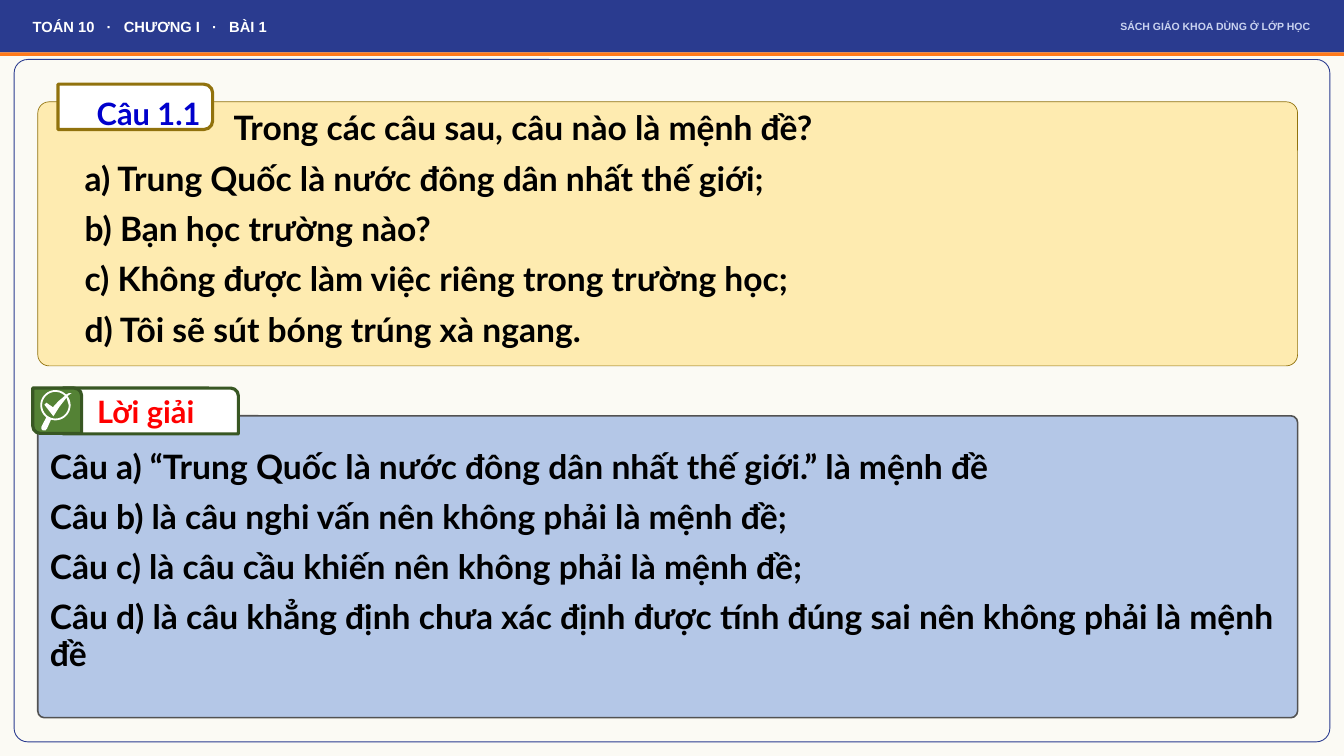
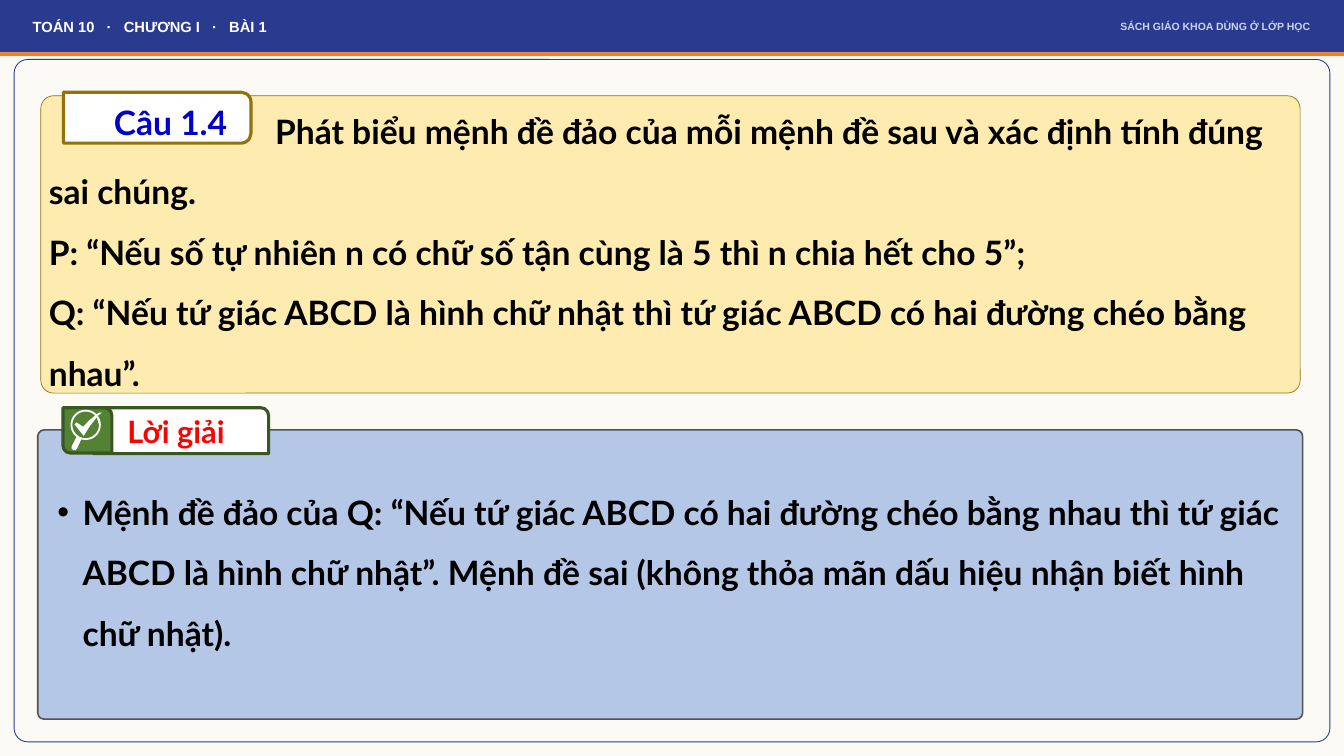
import math

import pptx
import pptx.dml.color
import pptx.enum.shapes
import pptx.enum.text
import pptx.util
from lxml import etree
from pptx.util import Inches

SHAPE = pptx.enum.shapes.MSO_SHAPE
ALIGN = pptx.enum.text.PP_ALIGN
ANCHOR = pptx.enum.text.MSO_ANCHOR
DRAWING = "{http://schemas.openxmlformats.org/drawingml/2006/main}"

WIDTH, HEIGHT = 26.67, 15
HEADER_HEIGHT = 1.04
CREAM, WHITE, BLACK = "FBFAF4", "FFFFFF", "000000"
NAVY, ORANGE, PALE_BLUE = "2A3B8F", "FF7A1A", "CAD3F0"
SAND, BROWN, LABEL_BLUE = "FEEBB0", "91720D", "0000CC"
SKY, GREY = "B4C7E7", "525252"
GREEN, DARK_GREEN, RED = "548235", "385723", "FF0000"


def color(value):
    return pptx.dml.color.RGBColor.from_string(value)


def paint(shape, fill=None, line=None, weight=0):
    shape.shadow.inherit = False
    if fill:
        shape.fill.solid()
        shape.fill.fore_color.rgb = color(fill)
    else:
        shape.fill.background()
    if line:
        shape.line.color.rgb = color(line)
        shape.line.width = pptx.util.Pt(weight)
    else:
        shape.line.fill.background()


def add_block(shapes, kind, box, fill=None, line=None, weight=0, adjust=()):
    shape = shapes.add_shape(kind, *map(Inches, box))
    for index, value in enumerate(adjust):
        shape.adjustments[index] = value
    paint(shape, fill, line, weight)
    return shape


def add_turned(shapes, kind, box, angle, **style):
    """Place a quarter-turned shape so that it covers box on the slide."""
    left, top, width, height = box
    shift = (width - height) / 2
    shape = add_block(shapes, kind, (left + shift, top - shift, height, width), **style)
    shape.rotation = angle
    return shape


def flip_vertically(shape):
    shape.element.spPr.find(DRAWING + "xfrm").set("flipV", "1")


def add_text(shapes, box, lines, size, fill, font="Lato", align=ALIGN.LEFT,
             spacing=None, before=0):
    frame = shapes.add_textbox(*map(Inches, box)).text_frame
    frame.word_wrap = True
    frame.text = "\n".join(lines)
    for index, para in enumerate(frame.paragraphs):
        para.alignment = align
        if spacing:
            para.line_spacing = spacing
        if before and index:
            para.space_before = pptx.util.Pt(before)
        for span in para.runs:
            span.font.name = font
            span.font.size = pptx.util.Pt(size)
            span.font.bold = True
            span.font.color.rgb = color(fill)
    return frame


def set_indent(para, first, margin=0):
    properties = para._p.get_or_add_pPr()
    properties.set("marL", str(Inches(margin)))
    properties.set("indent", str(Inches(first)))
    return properties


def add_bullet(para):
    properties = set_indent(para, -0.5, 0.5)
    etree.SubElement(properties, DRAWING + "buFont", typeface="Arial")
    etree.SubElement(properties, DRAWING + "buChar", char="•")


def add_tabs(para, stops):
    tabs = etree.SubElement(para._p.get_or_add_pPr(), DRAWING + "tabLst")
    for stop in stops:
        etree.SubElement(tabs, DRAWING + "tab", pos=str(Inches(stop)), algn="l")


def arc(radius, start, end, steps=24):
    """Points on a circle around the lens centre, in thousandths of an inch."""
    angles = [math.radians(start + (end - start) * step / steps)
              for step in range(steps + 1)]
    return [(310 + radius * math.cos(angle), 290 + radius * math.sin(angle))
            for angle in angles]


def add_magnifier(shapes, left, top):
    lens = arc(265, 0, 315) + [
        (370, 210), (260, 330), (130, 240), (90, 280),
        (270, 510), (390, 320), (530, 140)]
    rim = [(630, 50), (580, 50)] + arc(300, -45, -233) + [
        (30, 720), (30, 760), (60, 790), (110, 790), (140, 760)
    ] + arc(300, 107, -37)
    builder = shapes.build_freeform(*lens[0], scale=Inches(1) / 1000)
    builder.add_line_segments(lens[1:], close=True)
    builder.move_to(*rim[0])
    builder.add_line_segments(rim[1:], close=True)
    paint(builder.convert_to_shape(Inches(left), Inches(top)), WHITE)


def add_answer_panel(page, box):
    add_block(page.shapes, SHAPE.ROUNDED_RECTANGLE, box, SKY, GREY, 2.25, [0.022])


def add_question_panel(page, box, tag, label, size):
    """Sand panel with a name tag; tag is offset x, offset y, width, height."""
    shapes = page.shapes.add_group_shape().shapes
    add_block(shapes, SHAPE.ROUNDED_RECTANGLE, box, SAND, BROWN, 1, [0.043])
    left, top, width, height = box[0] + tag[0], box[1] + tag[1], tag[2], tag[3]
    add_turned(shapes, SHAPE.ROUND_2_SAME_RECTANGLE, (left, top, width, height), 90,
               fill=WHITE, line=BROWN, weight=4.5, adjust=[0.194, 0])
    add_text(shapes, (left + 0.5, top + 0.15, width - 0.47, height - 0.12),
             [label], size, LABEL_BLUE, align=ALIGN.CENTER)


def add_answer_tag(page, left, top):
    shapes = page.shapes.add_group_shape().shapes
    plate = add_turned(shapes, SHAPE.ROUND_1_RECTANGLE, (left + 0.6, top, 3.48, 0.91),
                       270, fill=WHITE, line=DARK_GREEN, weight=4.5)
    flip_vertically(plate)
    add_text(shapes, (left + 1.18, top + 0.05, 2.6, 0.84), ["Lời giải"], 44, RED)
    badge = add_block(shapes, SHAPE.ROUND_2_DIAG_RECTANGLE, (left, top, 0.97, 0.9),
                      GREEN, DARK_GREEN, 4.5)
    flip_vertically(badge)
    add_magnifier(shapes, left + 0.14, top + 0.05)


def add_header(page):
    # Page frame, band and rule
    add_block(page.shapes, SHAPE.ROUNDED_RECTANGLE, (0.28, 1.18, 26.11, 13.54),
              line=NAVY, weight=1.25, adjust=[0.02])
    add_block(page.shapes, SHAPE.RECTANGLE, (0, 0, WIDTH, HEADER_HEIGHT), NAVY)
    add_block(page.shapes, SHAPE.RECTANGLE, (0, HEADER_HEIGHT, WIDTH, 0.07), ORANGE)
    # Lesson on the left, series on the right
    lesson = add_text(page.shapes, (0.55, 0, 13, HEADER_HEIGHT),
                      ["TOÁN 10\t·\tCHƯƠNG I\t·\tBÀI 1"], 21, WHITE, "Arial")
    add_tabs(lesson.paragraphs[0], [1.47, 1.81, 3.56, 3.9])
    series = add_text(page.shapes, (13, 0, 13.1, HEADER_HEIGHT),
                      ["SÁCH GIÁO KHOA DÙNG Ở LỚP HỌC"], 15, PALE_BLUE, "Arial",
                      ALIGN.RIGHT)
    for frame in (lesson, series):
        frame.vertical_anchor = ANCHOR.MIDDLE
        frame.margin_top = frame.margin_bottom = 0


def new_page(deck):
    page = deck.slides.add_slide(deck.slide_layouts[6])
    add_block(page.shapes, SHAPE.RECTANGLE, (0, 0, WIDTH, HEIGHT), CREAM)
    return page


def add_proposition_page(deck):
    page = new_page(deck)
    add_answer_panel(page, (0.75, 8.25, 25, 5.99))
    add_question_panel(page, (0.75, 2.02, 25, 5.24), (0.4, -0.35, 3.07, 0.9),
                       "Câu 1.1", 44)
    question = add_text(page.shapes, (1.58, 2.17, 24.17, 5.49), [
        "Trong các câu sau, câu nào là mệnh đề?",
        "a) Trung Quốc là nước đông dân nhất thế giới;",
        "b) Bạn học trường nào?",
        "c) Không được làm việc riêng trong trường học;",
        "d) Tôi sẽ sút bóng trúng xà ngang.",
    ], 48, BLACK, spacing=0.9, before=20)
    set_indent(question.paragraphs[0], 2.96)
    add_text(page.shapes, (0.89, 8.88, 24.71, 4.73), [
        "Câu a) “Trung Quốc là nước đông dân nhất thế giới.” là mệnh đề",
        "Câu b) là câu nghi vấn nên không phải là mệnh đề;",
        "Câu c) là câu cầu khiến nên không phải là mệnh đề;",
        "Câu d) là câu khẳng định chưa xác định được tính đúng sai nên không phải "
        "là mệnh đề",
    ], 48, BLACK, spacing=0.9, before=20)
    add_answer_tag(page, 0.65, 7.7)
    add_header(page)


def add_converse_page(deck):
    page = new_page(deck)
    add_answer_panel(page, (0.75, 8.53, 25.1, 5.74))
    add_question_panel(page, (0.81, 1.9, 24.99, 5.9), (0.45, -0.07, 3.72, 1.01),
                       "Câu 1.4", 48)
    question = add_text(page.shapes, (0.87, 1.75, 25.05, 6.11), [
        "Phát biểu mệnh đề đảo của mỗi mệnh đề sau và xác định tính đúng sai chúng.",
        "P: “Nếu số tự nhiên n có chữ số tận cùng là 5 thì n chia hết cho 5”;",
        "Q: “Nếu tứ giác ABCD là hình chữ nhật thì tứ giác ABCD có hai đường chéo "
        "bằng nhau”.",
    ], 48, BLACK, spacing=1.5)
    set_indent(question.paragraphs[0], 4.49)
    # The answer box ends inside its panel
    answer = add_text(page.shapes, (1.04, 9.31, 24.75, 4.67), [
        "Mệnh đề đảo của Q: “Nếu tứ giác ABCD có hai đường chéo bằng nhau thì tứ giác "
        "ABCD là hình chữ nhật”. Mệnh đề sai (không thỏa mãn dấu hiệu nhận biết hình "
        "chữ nhật).",
    ], 48, BLACK, spacing=1.5)
    add_bullet(answer.paragraphs[0])
    add_answer_tag(page, 1.25, 8.09)
    add_header(page)


def main():
    deck = pptx.Presentation()
    deck.slide_width, deck.slide_height = Inches(WIDTH), Inches(HEIGHT)
    add_proposition_page(deck)
    add_converse_page(deck)
    deck.save("out.pptx")


if __name__ == "__main__":
    main()
